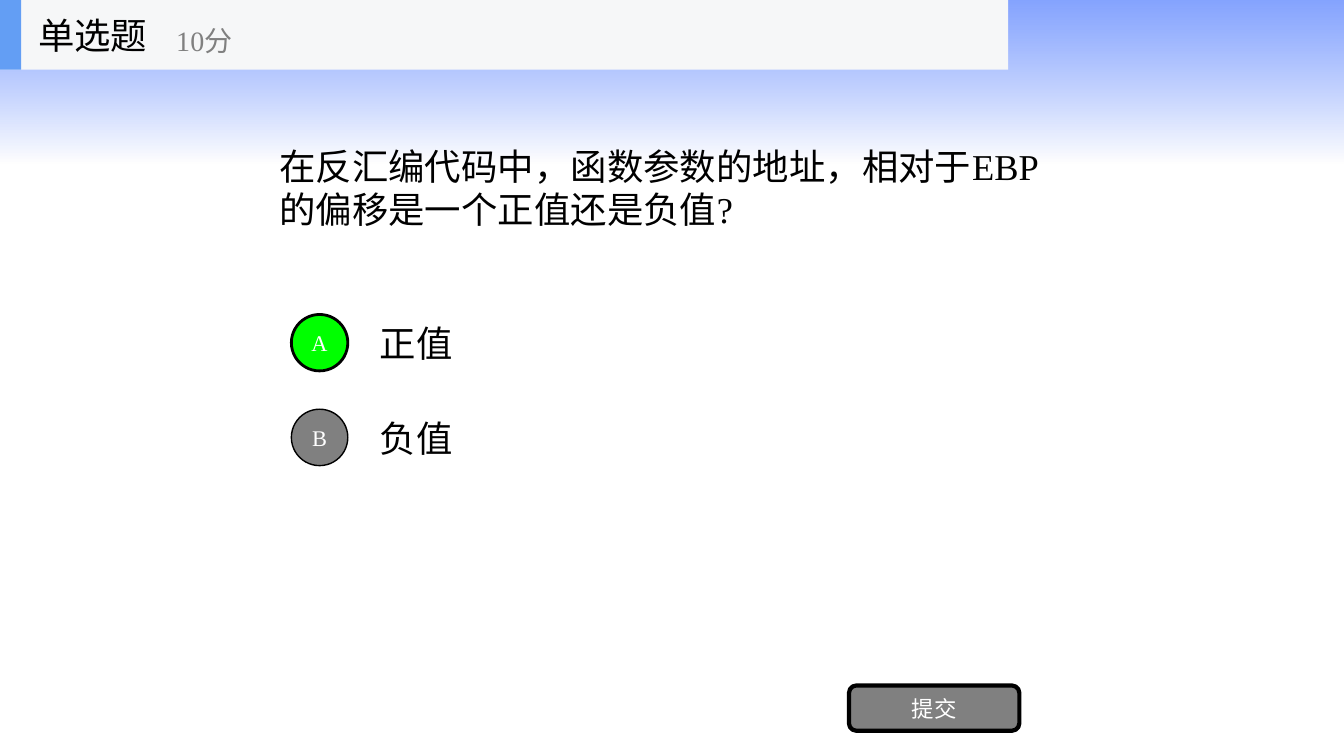
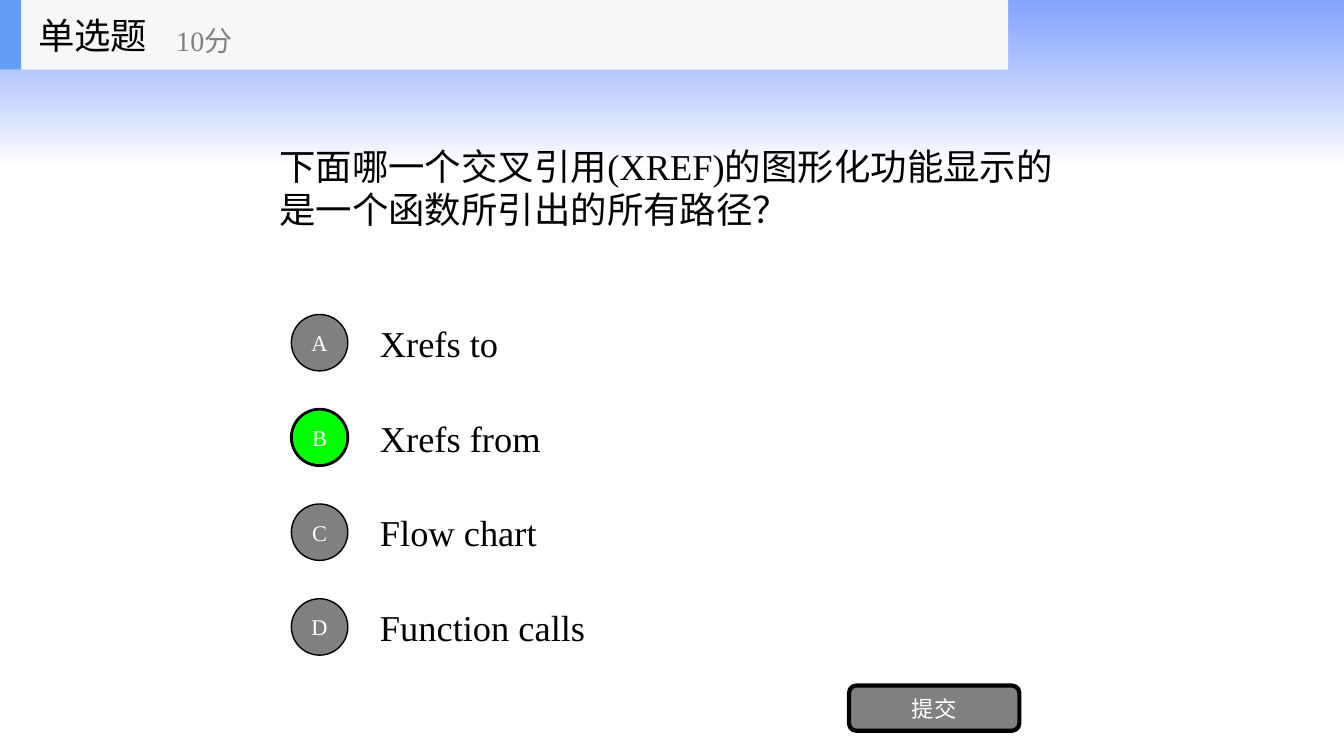
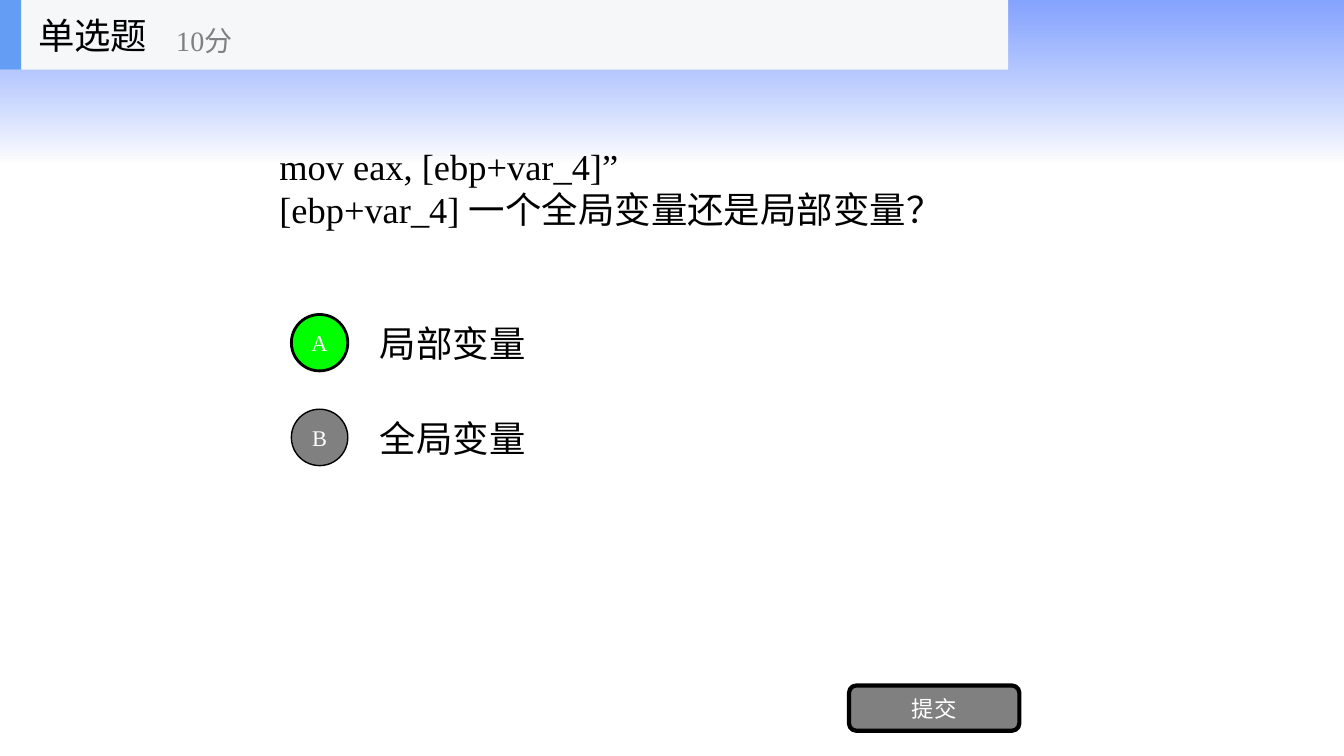
"""Build three single-choice quiz slides with a shared band, header and submit button."""
import pptx
import pptx.dml.color
import pptx.enum.lang
import pptx.enum.shapes
import pptx.enum.text
import pptx.oxml
import pptx.oxml.ns
import pptx.util
from dataclasses import dataclass

QUIZ = [
    {"question": ["在反汇编代码中，函数参数的地址，相对于EBP的偏移是一个正值还是负值?"],
     "options": ["正值", "负值"], "answer": "A"},
    {"question": ["下面哪一个交叉引用(XREF)的图形化功能显示的是一个函数所引出的所有路径？"],
     "options": ["Xrefs to", "Xrefs from", "Flow chart", "Function calls"], "answer": "B"},
    {"question": ["mov eax, [ebp+var_4]”", "[ebp+var_4] 一个全局变量还是局部变量？"],
     "options": ["局部变量", "全局变量"], "answer": "A"},
]
KIND, SCORE, SUBMIT = "单选题", "10分", "提交"


@dataclass(frozen=True)
class Theme:
    font: str = "Times New Roman"
    text: str = "000000"
    white: str = "FFFFFF"
    muted: str = "808080"
    correct: str = "00FF00"
    header: str = "F6F7F8"
    accent: str = "639EF4"
    band: tuple = (("3366FF", 60), ("FFFFFF", 70))
    body: int = 26
    score: int = 20
    label: int = 16


T = Theme()
Inches = pptx.util.Inches
SHAPE = pptx.enum.shapes.MSO_SHAPE
ALIGN = pptx.enum.text.PP_ALIGN
WIDTH, HEADER_H = 13.33, 0.69
ROW_TOP, ROW_H, ROW_PITCH, BADGE = 3.05, 0.7, 0.94, 0.56


def rgb(value):
    return pptx.dml.color.RGBColor.from_string(value)


def write(sp, lines, size, color, align=ALIGN.LEFT):
    tf = sp.text_frame
    tf.text = "\n".join(lines)
    tf.word_wrap = True
    tf.auto_size = pptx.enum.text.MSO_AUTO_SIZE.NONE
    tf.vertical_anchor = pptx.enum.text.MSO_ANCHOR.MIDDLE
    for p in tf.paragraphs:
        p.alignment = align
        for r in p.runs:
            r.font.name = T.font
            r.font.size = pptx.util.Pt(size)
            r.font.color.rgb = rgb(color)
            r.font.language_id = pptx.enum.lang.MSO_LANGUAGE_ID.SIMPLIFIED_CHINESE


def add_text(shapes, box, text, size, color=T.text):
    write(shapes.add_textbox(*map(Inches, box)), [text], size, color)


def add_box(shapes, kind, box, fill=None, line=0, text=None):
    sp = shapes.add_shape(kind, *map(Inches, box))
    sp.shadow.inherit = False
    if fill:
        sp.fill.solid()
        sp.fill.fore_color.rgb = rgb(fill)
    if line:
        sp.line.color.rgb = rgb(T.text)
        sp.line.width = pptx.util.Pt(line)
    else:
        sp.line.fill.background()
    if text:
        write(sp, [text], T.label, T.white, ALIGN.CENTER)
        sp.text_frame.margin_left = sp.text_frame.margin_right = 0
    return sp


def move_band_to_layout(s):
    sp = add_box(s.shapes, SHAPE.RECTANGLE, (0, 0, WIDTH, 1.62))
    sp.fill.gradient()
    sp.fill.gradient_angle = 270
    for stop, (color, opacity) in zip(sp.fill.gradient_stops, T.band):
        stop.color.rgb = rgb(color)
    for clr, (color, opacity) in zip(sp.element.spPr.iter(pptx.oxml.ns.qn("a:srgbClr")), T.band):
        alpha = pptx.oxml.parse_xml(f'<a:alpha {pptx.oxml.ns.nsdecls("a")} val="{opacity * 1000}"/>')
        clr.append(alpha)
    s.slide_layout.element.cSld.spTree.insert(2, sp.element)


def add_header(s):
    shapes = s.shapes.add_group_shape().shapes
    add_box(shapes, SHAPE.RECTANGLE, (0, 0, 10, HEADER_H), T.header)
    add_box(shapes, SHAPE.RECTANGLE, (0, 0, 0.21, HEADER_H), T.accent)
    add_text(shapes, (0.28, 0, 2.08, HEADER_H), KIND, T.body)
    add_text(shapes, (1.65, 0.12, 2.5, 0.56), SCORE, T.score, T.muted)


def add_question(s, lines):
    title = s.shapes.title
    title.left, title.top, title.width, title.height = map(Inches, (2.67, 0.69, 8, 2.34))
    write(title, lines, T.body, T.text)


def add_options(s, options, answer):
    for i, (letter, option) in enumerate(zip("ABCD", options)):
        top = ROW_TOP + i * ROW_PITCH
        add_text(s.shapes, (3.67, top, 7, ROW_H), option, T.body)
        fill, line = (T.correct, 2) if letter == answer else (T.muted, 1)
        badge = (2.89, top + (ROW_H - BADGE) / 2, BADGE, BADGE)
        add_box(s.shapes, SHAPE.OVAL, badge, fill, line, letter)


def main():
    prs = pptx.Presentation()
    prs.slide_width, prs.slide_height = Inches(WIDTH), Inches(7.5)
    layout = prs.slide_layouts.get_by_name("Title Only")
    for i, item in enumerate(QUIZ):
        s = prs.slides.add_slide(layout)
        if i == 0:
            move_band_to_layout(s)
        add_question(s, item["question"])
        add_options(s, item["options"], item["answer"])
        add_box(s.shapes, SHAPE.ROUNDED_RECTANGLE, (8.42, 6.8, 1.69, 0.45), T.muted, 3, SUBMIT)
        add_header(s)
    prs.save("out.pptx")


if __name__ == "__main__":
    main()
